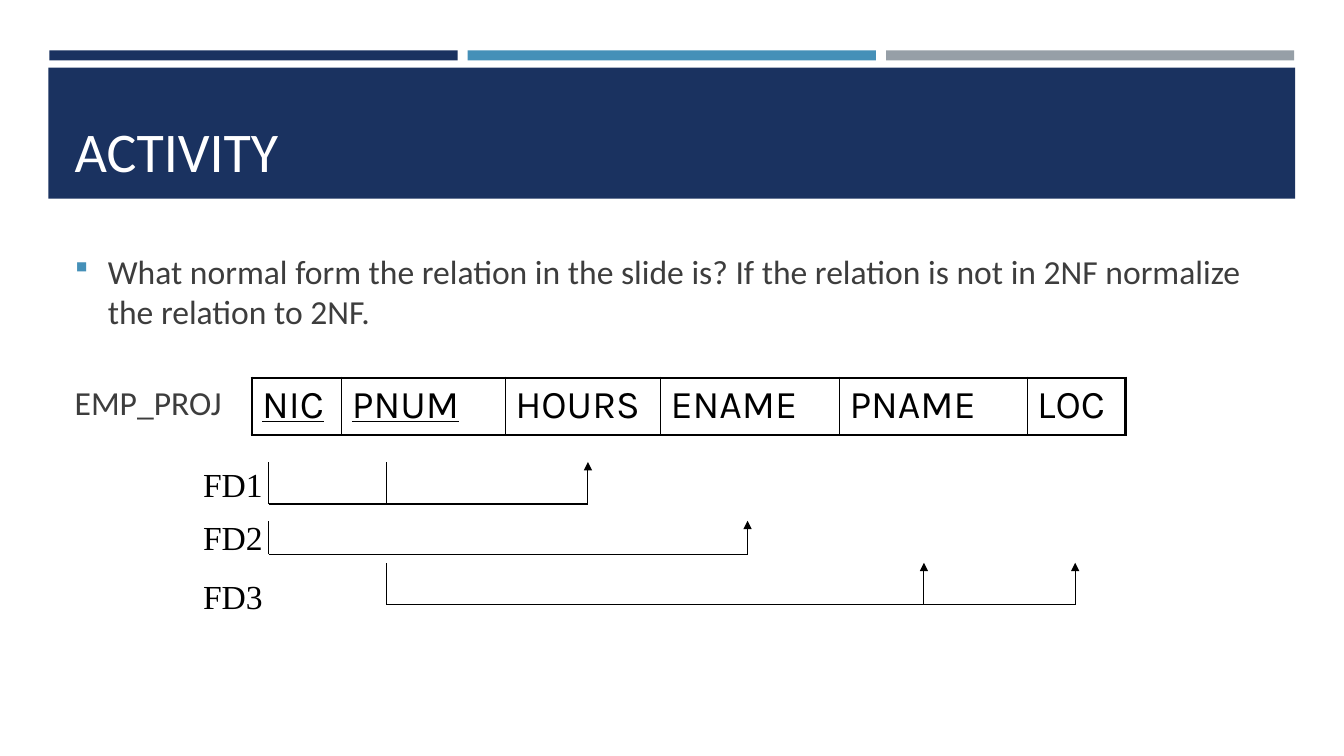
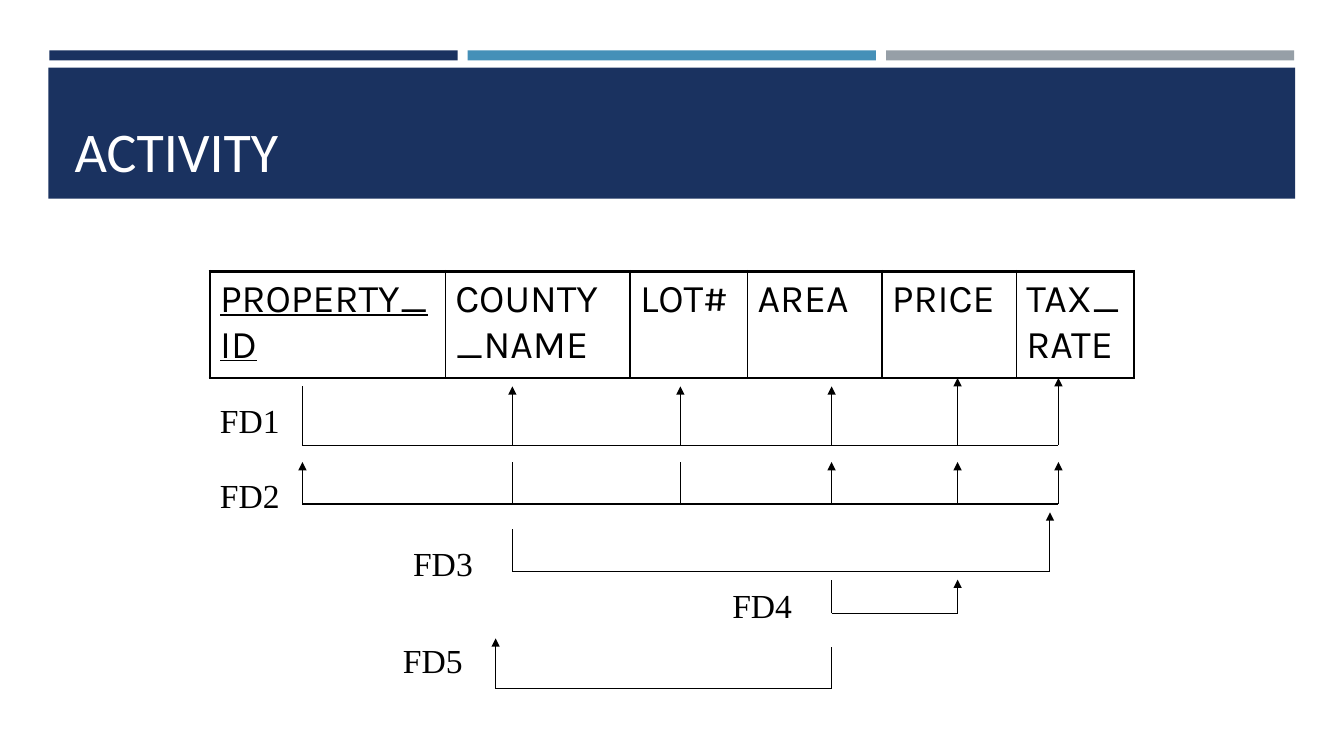
from dataclasses import dataclass

from lxml.etree import SubElement
from pptx import Presentation
from pptx.dml.color import RGBColor
from pptx.enum.shapes import MSO_CONNECTOR, MSO_SHAPE
from pptx.enum.text import MSO_ANCHOR, MSO_AUTO_SIZE, PP_ALIGN
from pptx.oxml.ns import qn
from pptx.util import Inches, Pt

NAVY = RGBColor(0x1A, 0x32, 0x60)
BLUE = RGBColor(0x45, 0x90, 0xB8)
GRAY = RGBColor(0x96, 0x9F, 0xA7)
WHITE = RGBColor(0xFF, 0xFF, 0xFF)
BLACK = RGBColor(0x00, 0x00, 0x00)
TEXT_GRAY = RGBColor(0x3D, 0x3D, 0x3D)

BODY_FONT = "Calibri"
BULLET_FONT = "Wingdings"
TABLE_FONT = "Karla"
LABEL_FONT = "Times New Roman"

CELLS_PER_INCH = 12
PAGE_COLUMNS = 160
PAGE_ROWS = 90
STRIPE_WIDTH = 4.05
STRIPE_PITCH = 4.15
OUTER_BORDER = 2.25
INNER_BORDER = 1
TITLE_LAYOUT = 5
CONTENT_LAYOUT = 1


@dataclass(frozen=True)
class Band:
    left: float
    top: float
    width: float
    height: float
    color: RGBColor


@dataclass(frozen=True)
class Attribute:
    name: str
    columns: float
    is_key: bool = False


@dataclass(frozen=True)
class Relation:
    column: float
    row: float
    rows: float
    attributes: tuple[Attribute, ...]


@dataclass(frozen=True)
class Stem:
    column: float
    top: float
    is_target: bool = False


@dataclass(frozen=True)
class Dependency:
    label: str
    label_column: float
    label_row: float
    base: float
    stems: tuple[Stem, ...]


BANDS = (
    Band(0.48, 0.67, 12.37, 1.3, NAVY),
    *(
        Band(0.49 + index * STRIPE_PITCH, 0.5, STRIPE_WIDTH, 0.1, color)
        for index, color in enumerate((NAVY, BLUE, GRAY))
    ),
)


def stems(top: float, sources: tuple, targets: tuple) -> tuple[Stem, ...]:
    return (
        *(Stem(column, top) for column in sources),
        *(Stem(column, top, True) for column in targets),
    )


EMPLOYEE_PROJECT = Relation(30, 45, 6.8, (
    Attribute("NIC", 10.7, True),
    Attribute("PNUM", 19.45, True),
    Attribute("HOURS", 18.5),
    Attribute("ENAME", 21.3),
    Attribute("PNAME", 22.35),
    Attribute("LOC", 11.7),
))

EMPLOYEE_DEPENDENCIES = (
    Dependency("FD1", 23, 54.6, 60, stems(55, (32, 46), (70,))),
    Dependency("FD2", 23, 61, 66, stems(62, (32,), (89,))),
    Dependency("FD3", 23, 68, 72, stems(67, (46,), (110, 128))),
)

PROPERTY = Relation(25, 32.3, 12.7, (
    Attribute("PROPERTY_ID", 28, True),
    Attribute("COUNTY_NAME", 22),
    Attribute("LOT#", 14),
    Attribute("AREA", 16),
    Attribute("PRICE", 16),
    Attribute("TAX_RATE", 14),
))

PROPERTY_DEPENDENCIES = (
    Dependency("FD1", 25, 47, 53,
               stems(46, (36,), (61, 81, 99)) + stems(45, (), (114, 126))),
    Dependency("FD2", 25, 56, 60, stems(55, (61, 81), (36, 99, 114, 126))),
    Dependency("FD3", 48, 64, 68, (Stem(61, 63), Stem(125, 61, True))),
    Dependency("FD4", 86, 69, 73, stems(69, (99,), (114,))),
    Dependency("FD5", 46.8, 75.6, 82, (Stem(99, 77), Stem(59, 76, True))),
)


def grid(cells: float) -> int:
    return Inches(cells / CELLS_PER_INCH)


def place(shape, left: float, top: float, width: float, height: float) -> None:
    shape.left, shape.top = Inches(left), Inches(top)
    shape.width, shape.height = Inches(width), Inches(height)


def add_run(para, text: str, size: float, font: str, color: RGBColor,
            underline: bool = False) -> None:
    span = para.add_run()
    span.text = text
    span.font.size = Pt(size)
    span.font.name = font
    span.font.color.rgb = color
    if underline:
        span.font.underline = True


def add_bands(page) -> None:
    for index, band in enumerate(BANDS):
        box = page.shapes.add_shape(
            MSO_SHAPE.RECTANGLE, Inches(band.left), Inches(band.top),
            Inches(band.width), Inches(band.height))
        box.shadow.inherit = False
        box.fill.solid()
        box.fill.fore_color.rgb = band.color
        box.line.fill.background()
        page.shapes.element.insert(2 + index, box.element)


def set_title(page, text: str) -> None:
    title = page.shapes.title
    place(title, 0.64, 0.76, 12.06, 1.11)
    frame = title.text_frame
    frame.auto_size = MSO_AUTO_SIZE.NONE
    frame.vertical_anchor = MSO_ANCHOR.BOTTOM
    para = frame.paragraphs[0]
    para.alignment = PP_ALIGN.LEFT
    add_run(para, text, 40, BODY_FONT, WHITE)


def set_bullet(para) -> None:
    properties = para._p.get_or_add_pPr()
    properties.set("marL", str(Inches(0.33)))
    properties.set("indent", str(-Inches(0.33)))
    color = SubElement(properties, qn("a:buClr"))
    SubElement(color, qn("a:srgbClr"), val=str(BLUE))
    SubElement(properties, qn("a:buSzPct"), val="92000")
    SubElement(properties, qn("a:buFont"), typeface=BULLET_FONT, charset="2")
    SubElement(properties, qn("a:buChar"), char="§")


def clear_bullet(para) -> None:
    properties = para._p.get_or_add_pPr()
    properties.set("marL", "0")
    properties.set("indent", "0")
    SubElement(properties, qn("a:buNone"))


def set_body(page, question: str, relation_name: str) -> None:
    body = page.placeholders[1]
    place(body, 0.64, 2.44, 12.06, 1.9)
    frame = body.text_frame
    frame.auto_size = MSO_AUTO_SIZE.NONE
    frame.vertical_anchor = MSO_ANCHOR.TOP
    question_para = frame.paragraphs[0]
    question_para.space_before = Pt(0)
    set_bullet(question_para)
    add_run(question_para, question, 24, BODY_FONT, TEXT_GRAY)
    name_para = frame.add_paragraph()
    name_para.space_before = Pt(36)
    clear_bullet(name_para)
    add_run(name_para, relation_name, 24, BODY_FONT, TEXT_GRAY)


def set_borders(cell, is_first: bool, is_last: bool) -> None:
    properties = cell._tc.get_or_add_tcPr()
    widths = {
        "a:lnL": OUTER_BORDER if is_first else INNER_BORDER,
        "a:lnR": OUTER_BORDER if is_last else INNER_BORDER,
        "a:lnT": OUTER_BORDER,
        "a:lnB": OUTER_BORDER,
    }
    for tag, width in widths.items():
        line = SubElement(properties, qn(tag), w=str(Pt(width)))
        fill = SubElement(line, qn("a:solidFill"))
        SubElement(fill, qn("a:srgbClr"), val=str(BLACK))


def add_relation(page, relation: Relation) -> None:
    attributes = relation.attributes
    total = sum(attribute.columns for attribute in attributes)
    table = page.shapes.add_table(
        1, len(attributes), grid(relation.column), grid(relation.row),
        grid(total), grid(relation.rows)).table
    table.first_row = False
    table.horz_banding = False
    for index, attribute in enumerate(attributes):
        table.columns[index].width = grid(attribute.columns)
        cell = table.cell(0, index)
        set_borders(cell, index == 0, index == len(attributes) - 1)
        cell.fill.background()
        add_run(cell.text_frame.paragraphs[0], attribute.name, 28,
                TABLE_FONT, BLACK, attribute.is_key)


def add_line(group, start: tuple[float, float], end: tuple[float, float],
             has_arrow: bool = False) -> None:
    connector = group.shapes.add_connector(
        MSO_CONNECTOR.STRAIGHT, *map(grid, start), *map(grid, end))
    connector.line.color.rgb = BLACK
    connector.line.width = Pt(0.75)
    if has_arrow:
        SubElement(connector.line._get_or_add_ln(), qn("a:tailEnd"), type="triangle")
    SubElement(connector.element.spPr, qn("a:effectLst"))


def add_dependency(page, dependency: Dependency) -> None:
    group = page.shapes.add_group_shape()
    base = dependency.base
    columns = [stem.column for stem in dependency.stems]
    add_line(group, (min(columns), base), (max(columns), base))
    for stem in dependency.stems:
        add_line(group, (stem.column, base), (stem.column, stem.top), stem.is_target)
    box = group.shapes.add_textbox(
        grid(dependency.label_column), grid(dependency.label_row),
        Inches(0.94), Inches(0.5))
    box.text_frame.word_wrap = True
    add_run(box.text_frame.paragraphs[0], dependency.label, 24, LABEL_FONT, BLACK)


def add_activity(deck, layout: int, relation: Relation,
                 dependencies: tuple[Dependency, ...]):
    page = deck.slides.add_slide(deck.slide_layouts[layout])
    add_bands(page)
    set_title(page, "ACTIVITY")
    add_relation(page, relation)
    for dependency in dependencies:
        add_dependency(page, dependency)
    return page


def main() -> None:
    deck = Presentation()
    deck.slide_width, deck.slide_height = grid(PAGE_COLUMNS), grid(PAGE_ROWS)
    page = add_activity(deck, CONTENT_LAYOUT, EMPLOYEE_PROJECT, EMPLOYEE_DEPENDENCIES)
    set_body(
        page,
        "What normal form the relation in the slide is? "
        "If the relation is not in 2NF normalize the relation to 2NF.",
        "EMP_PROJ")
    add_activity(deck, TITLE_LAYOUT, PROPERTY, PROPERTY_DEPENDENCIES)
    deck.save("out.pptx")


if __name__ == "__main__":
    main()
